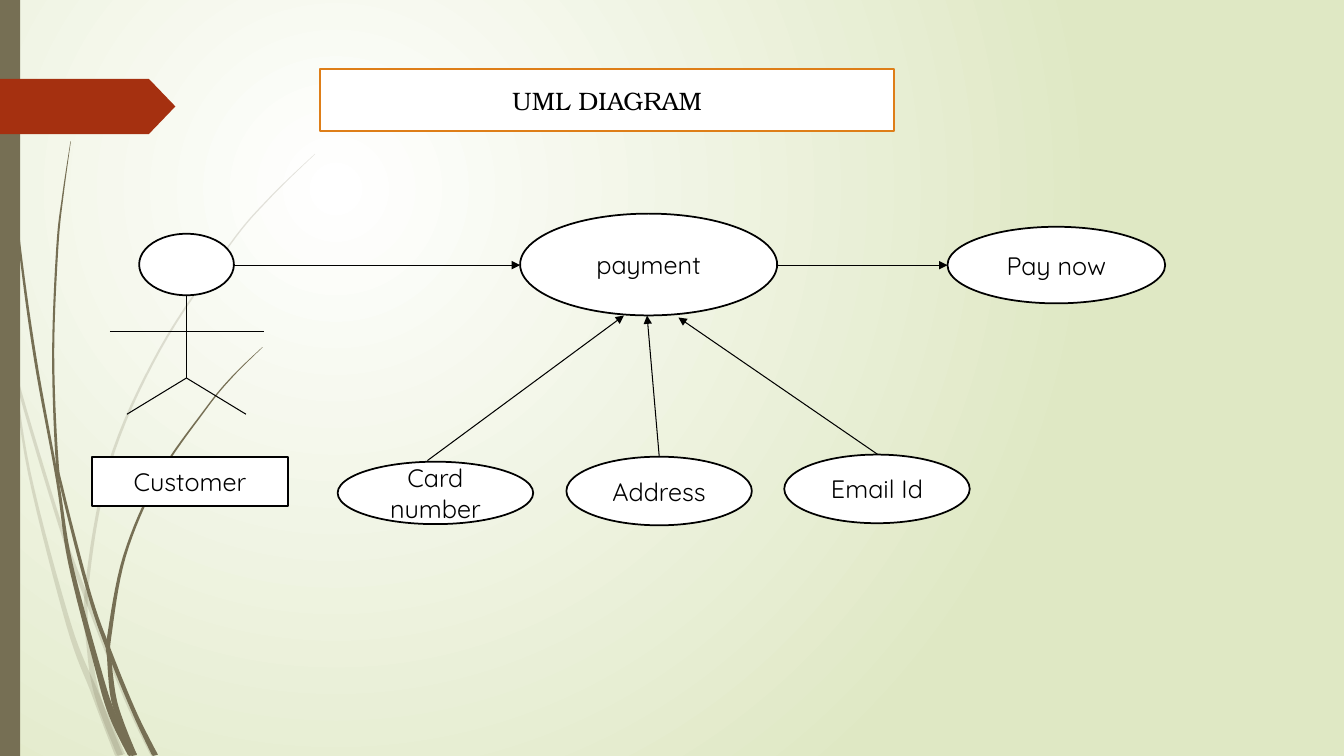
from dataclasses import dataclass
from math import hypot

from lxml.etree import SubElement
from pptx import Presentation
from pptx.dml.color import RGBColor
from pptx.enum.shapes import MSO_CONNECTOR, MSO_SHAPE
from pptx.enum.text import MSO_ANCHOR, MSO_AUTO_SIZE, PP_ALIGN
from pptx.oxml.ns import qn
from pptx.util import Pt

HEX = {"ink": "000000", "paper": "FFFFFF", "stem": "766F54",
       "flag": "A53010", "frame": "DE7E18", "edge": "DFE8C4"}
RGB = {name: RGBColor.from_string(code) for name, code in HEX.items()}
BODY, HEAD = "Quicksand", "TeX Gyre Bonum"
FRAME = {"word_wrap": True, "auto_size": MSO_AUTO_SIZE.NONE,
         "vertical_anchor": MSO_ANCHOR.MIDDLE}


@dataclass
class Node:
    kind: MSO_SHAPE
    box: tuple[float, float, float, float]
    text: str = ""


@dataclass
class Link:
    start: tuple[float, float]
    end: tuple[float, float]
    arrow: bool = False


@dataclass
class Stalk:
    knots: list[tuple[float, float, float]]  # x, y, width
    alpha: int = 100


OVAL, RECT = MSO_SHAPE.OVAL, MSO_SHAPE.RECTANGLE
NODES = [
    Node(OVAL, (99.4, 167, 67.7, 43.9)),
    Node(OVAL, (371.5, 152.6, 183.6, 72.7), "payment"),
    Node(OVAL, (241.2, 329.8, 139.7, 44.6), "Card number"),
    Node(OVAL, (404.6, 326.2, 132.5, 49), "Address"),
    Node(OVAL, (560.2, 324.7, 132.5, 49), "Email Id"),
    Node(OVAL, (676.8, 162, 155.5, 54.7), "Pay now"),
    Node(RECT, (65.5, 326.2, 140.4, 35.3), "Customer"),
]
LINKS = [
    # Stick figure
    Link((133.2, 211), (133.2, 270)),
    Link((133.2, 270), (90.7, 295.9)),
    Link((133.2, 270), (175.7, 295.9)),
    Link((78.5, 236.9), (188.6, 236.9)),
    # Details into payment
    Link((305.3, 329), (445.7, 225.4), True),
    Link((470.9, 326.2), (462.2, 225.4), True),
    Link((627.1, 324.7), (484.6, 226.8), True),
    # Main flow
    Link((555.1, 189.4), (676.8, 189.4), True),
    Link((167, 189.4), (371.5, 189.4), True),
]
STALKS = [
    Stalk([(0, 209, 8), (8, 252, 2), (21, 338, 2), (49, 446, 3.5),
           (67, 493, 5), (75, 513, 6), (86, 540, 7)], 20),
    Stalk([(10, 248, 1), (12, 271, 2), (43, 375, 2.5), (61, 425, 3),
           (90, 498, 3.5), (110, 540, 4)], 20),
    Stalk([(225, 110, 0.3), (193, 141, 0.8), (164, 175, 1), (114, 250, 1.5),
           (78, 332, 2), (62, 420, 2.5), (64, 465, 3.5), (70, 498, 4),
           (86, 540, 4)], 20),
    Stalk([(2, 0, 0.5), (5, 79, 1), (13, 167, 1.5), (25, 255, 2),
           (41, 343, 2), (50, 401, 3), (69, 474, 4), (80, 510, 5),
           (95, 540, 6)]),
    Stalk([(50.5, 101, 0.3), (45, 139, 1), (41, 176, 1.5), (38, 251, 1.5),
           (40.5, 325, 2), (45, 352, 2), (64, 425, 2.5), (78, 465, 3),
           (96, 509, 3), (111, 540, 4)]),
    Stalk([(187.5, 248, 0.3), (166, 269, 0.8), (147, 292, 1), (113, 341, 1.5),
           (89, 397, 2), (78, 455, 3), (78, 470, 3), (81, 498, 4),
           (87, 517, 3.5), (96, 540, 4)]),
]


def paint(shape, fill: str, line: str = "") -> None:
    shape.fill.solid()
    shape.fill.fore_color.rgb = RGB[fill]
    if line:
        shape.line.color.rgb = RGB[line]
        shape.line.width = Pt(1.25)
    else:
        shape.line.fill.background()


def write(shape, text: str, font: str) -> None:
    frame = shape.text_frame
    frame.text = text
    for name, value in FRAME.items():
        setattr(frame, name, value)
    part = frame.paragraphs[0]
    part.alignment = PP_ALIGN.CENTER
    style = {"name": font, "size": Pt(18), "bold": False}
    for name, value in style.items():
        setattr(part.runs[0].font, name, value)
    part.runs[0].font.color.rgb = RGB["ink"]


def block(slide, kind: MSO_SHAPE, box: tuple, fill: str, line: str = ""):
    shape = slide.shapes.add_shape(kind, *map(Pt, box))
    shape.shadow.inherit = False
    paint(shape, fill, line)
    return shape


def join(slide, link: Link) -> None:
    line = slide.shapes.add_connector(
        MSO_CONNECTOR.STRAIGHT, *map(Pt, link.start + link.end))
    line.line.color.rgb = RGB["ink"]
    line.line.width = Pt(0.75)
    props = line.element.spPr
    if link.arrow:
        SubElement(props.find(qn("a:ln")), qn("a:tailEnd"), type="triangle")
    SubElement(props, qn("a:effectLst"))


def curve(knots: list, steps: int = 8) -> list:
    """Smooth the knots with a Catmull-Rom spline."""
    ends = [knots[0], *knots, knots[-1]]
    dots = []
    for a, b, c, d in zip(ends, ends[1:], ends[2:], ends[3:]):
        for t in (i / steps for i in range(steps)):
            dots.append(tuple(
                q + t / 2 * (r - p + t * (2 * p - 5 * q + 4 * r - s
                                          + t * (3 * (q - r) + s - p)))
                for p, q, r, s in zip(a, b, c, d)))
    return dots + [knots[-1]]


def grow(slide, stalk: Stalk) -> None:
    dots = curve(stalk.knots)
    left, right = [], []
    for i, (x, y, wide) in enumerate(dots):
        back, ahead = dots[max(i - 1, 0)], dots[min(i + 1, len(dots) - 1)]
        dx, dy = ahead[0] - back[0], ahead[1] - back[1]
        half = wide / 2 / hypot(dx, dy)
        left.append((Pt(x - dy * half), Pt(min(y + dx * half, 540))))
        right.append((Pt(x + dy * half), Pt(min(y - dx * half, 540))))
    rim = left + right[::-1]
    pen = slide.shapes.build_freeform(*rim[0])
    pen.add_line_segments(rim[1:], close=True)
    shape = pen.convert_to_shape()
    shape.shadow.inherit = False
    paint(shape, "stem")
    if stalk.alpha < 100:
        tint = shape.element.spPr.find(".//" + qn("a:srgbClr"))
        SubElement(tint, qn("a:alpha"), val=str(stalk.alpha * 1000))


def glow(slide) -> None:
    fill = slide.background.fill
    fill.gradient()
    for stop, name in zip(fill.gradient_stops, ("paper", "edge")):
        stop.color.rgb = RGB[name]
    grad = slide.element.find(".//" + qn("a:gradFill"))
    grad.remove(grad.find(qn("a:lin")))
    path = SubElement(grad, qn("a:path"), path="circle")
    SubElement(path, qn("a:fillToRect"),
               l="50000", t="50000", r="100000", b="100000")


def main() -> None:
    deck = Presentation()
    deck.slide_width, deck.slide_height = Pt(960), Pt(540)
    slide = deck.slides.add_slide(deck.slide_layouts[5])

    # Backdrop
    glow(slide)
    for stalk in STALKS:
        grow(slide, stalk)
    block(slide, RECT, (0, 0, 14.4, 540), "stem")
    flag = block(slide, MSO_SHAPE.PENTAGON, (0, 56.3, 125.3, 39.5), "flag")
    flag.adjustments[0] = 0.48

    # Title
    title = slide.shapes.title
    place = dict(zip(("left", "top", "width", "height"),
                     map(Pt, (228.8, 49.2, 409.6, 44.4))))
    for name, value in place.items():
        setattr(title, name, value)
    paint(title, "paper", "frame")
    write(title, "UML DIAGRAM", HEAD)

    # Diagram
    for node in NODES:
        shape = block(slide, node.kind, node.box, "paper", "ink")
        if node.text:
            write(shape, node.text, BODY)
    for link in LINKS:
        join(slide, link)

    deck.save("out.pptx")


if __name__ == "__main__":
    main()
